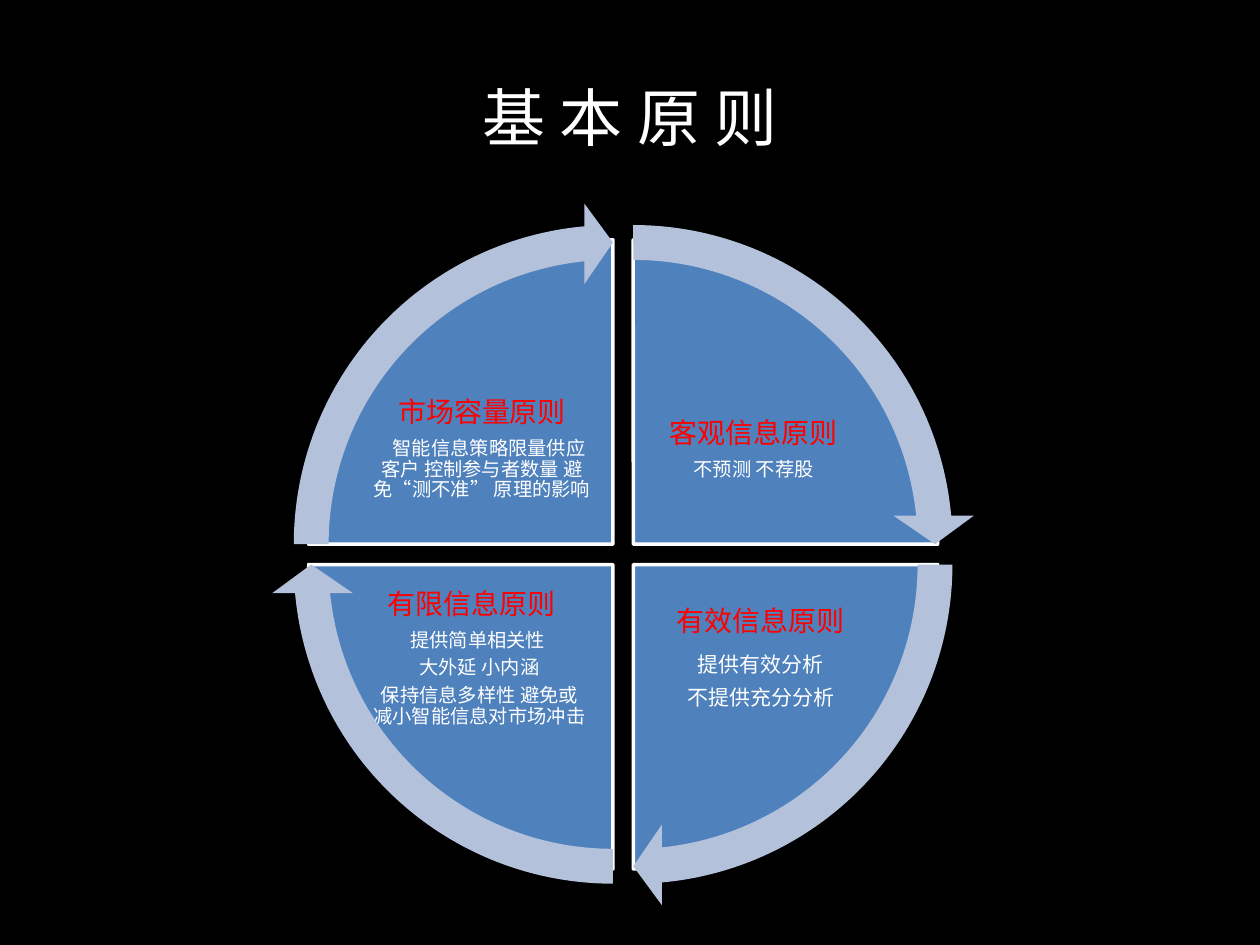
"""Build the slide of four basic principles arranged in a cycle."""
from pptx import Presentation
from pptx.dml.color import RGBColor
from pptx.enum.shapes import MSO_SHAPE
from pptx.enum.text import MSO_ANCHOR, PP_ALIGN
from pptx.util import Pt
from lxml import etree

PIE = MSO_SHAPE.PIE
ARROW = MSO_SHAPE.CIRCULAR_ARROW
MIDDLE = MSO_ANCHOR.MIDDLE
CENTER = PP_ALIGN.CENTER
NS = "{http://schemas.openxmlformats.org/drawingml/2006/main}"

THEME = {
    "black": RGBColor(0, 0, 0),
    "white": RGBColor(255, 255, 255),
    "red": RGBColor(255, 0, 0),
    "blue": RGBColor(0x4F, 0x81, 0xBD),
    "pale": RGBColor(0xB3, 0xC1, 0xDB),
    "cjk": "Noto Sans CJK SC",
    "latin": "Calibri",
    "title": 36,
    "head": 16,
    "body": 11,
    "large": 12,
}


def write(para, text, size, color, font):
    run = para.add_run()
    run.text = text
    look = {"size": Pt(THEME[size]), "name": THEME[font], "bold": False}
    for key, value in look.items():
        setattr(run.font, key, value)
    run.font.color.rgb = THEME[color]
    if font == "cjk":
        east = etree.SubElement(run.font._element, NS + "ea")
        east.set("typeface", THEME[font])
    para.alignment = CENTER


def sector(kind, x, y, side, turns, color):
    shape = slide.shapes.add_shape(
        kind, Pt(x - side / 2), Pt(y - side / 2), Pt(side), Pt(side))
    for i, turn in enumerate(turns):
        shape.adjustments[i] = turn
    shape.shadow.inherit = False
    shape.fill.solid()
    shape.fill.fore_color.rgb = THEME[color]
    return shape


deck = Presentation()
deck.slide_width, deck.slide_height = Pt(720), Pt(540)
slide = deck.slides.add_slide(deck.slide_layouts[5])
slide.background.fill.solid()
slide.background.fill.fore_color.rgb = THEME["black"]

title = slide.shapes.title
place = {"left": Pt(36), "top": Pt(21.6), "width": Pt(648), "height": Pt(90)}
for key, value in place.items():
    setattr(title, key, value)
title.fill.solid()
title.fill.fore_color.rgb = THEME["black"]
title.line.color.rgb = THEME["black"]
title.line.width = Pt(2)
title.text_frame.vertical_anchor = MIDDLE
write(title.text_frame.paragraphs[0], "基 本 原 则", "title", "white", "cjk")

MID_X, MID_Y, GAP = 356.1, 316.8, 5.8
QUARTER, SWEEP = 54, 50.725
FRAME = {"word_wrap": True, "vertical_anchor": MIDDLE}
FRAME.update({f"margin_{side}": Pt(1.44)
              for side in ("left", "right", "top", "bottom")})

parts = [
    (1, -1, 162, "客观信息原则", 12, "body", [("不预测 不荐股", {})]),
    (1, 1, 0, "有效信息原则", 4, "large",
     [("提供有效分析", {"before": 4, "after": 6}), ("不提供充分分析", {})]),
    (-1, 1, 54, "有限信息原则", 12, "body",
     [("提供简单相关性", {"marR": 5}), ("大外延 小内涵", {"marR": 3}),
      ("保持信息多样性 避免或减小智能信息对市场冲击", {})]),
    (-1, -1, 108, "市场容量原则", 0, "body",
     [("智能信息策略限量供应客户 控制参与者数量 避免“测不准” 原理的影响",
       {"indent": 8})]),
]

for dx, dy, start, head, inset, size, lines in parts:
    x, y = MID_X + dx * GAP, MID_Y + dy * GAP
    end = (start + QUARTER) % 216
    pie = sector(PIE, x, y, 347.8, (start, end), "blue")
    pie.line.color.rgb = THEME["white"]
    pie.line.width = Pt(2)

    box = slide.shapes.add_textbox(
        Pt(MID_X + dx * 80.6 - 64.1), Pt(MID_Y + dy * 59.8 - 47.5),
        Pt(128.2), Pt(95))
    frame = box.text_frame
    for key, value in FRAME.items():
        setattr(frame, key, value)
    rows = [(head, {"marR": inset}, "head", "red", "cjk")]
    rows += [(text, opts, size, "white", "latin") for text, opts in lines]
    for i, (text, opts, scale, color, font) in enumerate(rows):
        para = frame.add_paragraph() if i else frame.paragraphs[0]
        write(para, text, scale, color, font)
        para.line_spacing = 0.9
        para.space_before = Pt(opts.get("before", 0))
        para.space_after = Pt(opts.get("after", THEME[scale] * 0.35))
        for key in ("marR", "indent"):
            if key in opts:
                para._p.get_or_add_pPr().set(key, str(Pt(opts[key])))

for dx, dy, start, *rest in parts:
    turns = (0.051, 3.275, start + SWEEP, start, 0.059)
    arrow = sector(ARROW, MID_X + dx * GAP, MID_Y + dy * GAP,
                   391, turns, "pale")
    arrow.line.fill.background()

deck.save("out.pptx")
